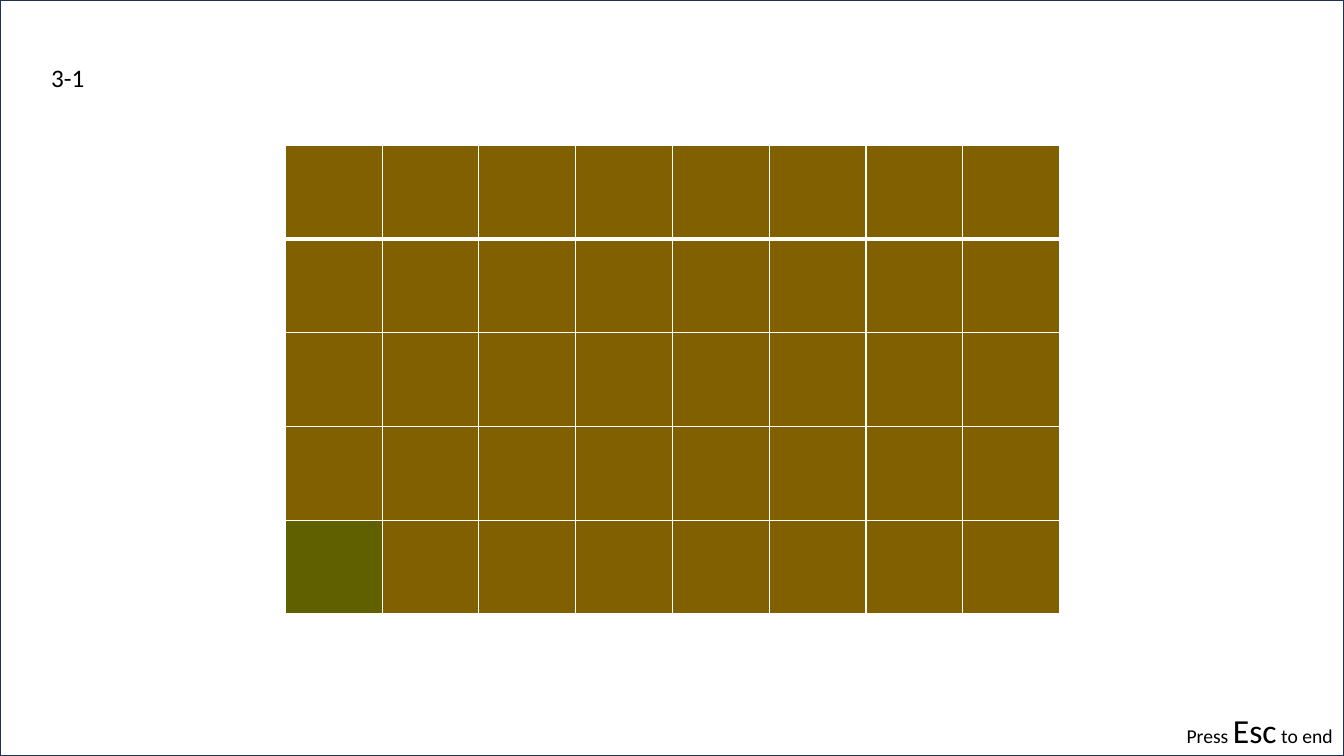
"""Build the slide with a brown memory-game board, its level label and an exit hint."""
from dataclasses import dataclass

import pptx
import pptx.dml.color
import pptx.enum.shapes
import pptx.enum.text
import pptx.oxml
import pptx.oxml.ns
import pptx.util

WIDTH, HEIGHT = 13.33, 7.5
COLS, ROWS = 8, 5
COL_WIDTH, ROW_HEIGHT = 0.96, 0.93
BOARD_LEFT, BOARD_TOP = 2.83, 1.44
BROWN, GREEN, WHITE, BLACK, NAVY = "806000", "616000", "FFFFFF", "000000", "1E3256"
MARKED_CELL = (ROWS - 1, 0)


@dataclass
class Run:
    """A piece of text in one size."""
    text: str
    size: int


@dataclass
class Label:
    """A one-line text box, placed by shares of the slide's size."""
    left: float
    top: float
    width: float
    height: float
    runs: list[Run]


LABELS = [
    Label(0.41 / WIDTH, 0.57 / HEIGHT, 0.54 / WIDTH, 0.4 / HEIGHT, [Run("3-1", 18)]),
    Label(11.67 / WIDTH, 6.99 / HEIGHT, 1.66 / WIDTH, 0.5 / HEIGHT,
          [Run("Press ", 14), Run("Esc", 24), Run(" to end", 14)]),
]


def rgb(value: str) -> pptx.dml.color.RGBColor:
    """Turn a hex string into a colour."""
    return pptx.dml.color.RGBColor.from_string(value)


def set_border(cell, side: str, points: float) -> None:
    """Add a white border on one side of a cell."""
    cell._tc.get_or_add_tcPr().append(pptx.oxml.parse_xml(
        f'<a:ln{side} {pptx.oxml.ns.nsdecls("a")} w="{pptx.util.Pt(points)}">'
        f'<a:solidFill><a:srgbClr val="{WHITE}"/></a:solidFill></a:ln{side}>'))


def add_board(slide) -> None:
    """Draw the board with a thick line under its first row."""
    inches = pptx.util.Inches
    table = slide.shapes.add_table(
        ROWS, COLS, inches(BOARD_LEFT), inches(BOARD_TOP),
        inches(COLS * COL_WIDTH), inches(ROWS * ROW_HEIGHT)).table
    for column in table.columns:
        column.width = inches(COL_WIDTH)
    for r, row in enumerate(table.rows):
        row.height = inches(ROW_HEIGHT)
        widths = {"L": 1, "R": 1, "T": 3 if r == 1 else 1, "B": 3 if r == 0 else 1}
        for c, cell in enumerate(row.cells):
            for side, points in widths.items():
                set_border(cell, side, points)
            cell.fill.solid()
            cell.fill.fore_color.rgb = rgb(GREEN if (r, c) == MARKED_CELL else BROWN)


def add_frame(slide) -> None:
    """Outline the whole slide."""
    sp = slide.shapes.add_shape(
        pptx.enum.shapes.MSO_SHAPE.RECTANGLE, 0, 0,
        pptx.util.Inches(WIDTH), pptx.util.Inches(HEIGHT))
    sp.shadow.inherit = False
    sp.fill.background()
    sp.line.color.rgb = rgb(NAVY)
    sp.line.width = pptx.util.Pt(1)


def add_label(slide, label: Label) -> None:
    """Write a label run by run."""
    inches = pptx.util.Inches
    tf = slide.shapes.add_textbox(
        inches(label.left * WIDTH), inches(label.top * HEIGHT),
        inches(label.width * WIDTH), inches(label.height * HEIGHT)).text_frame
    tf.word_wrap = False
    tf.auto_size = pptx.enum.text.MSO_AUTO_SIZE.SHAPE_TO_FIT_TEXT
    p = tf.paragraphs[0]
    for run in label.runs:
        r = p.add_run()
        r.text = run.text
        r.font.name = "Calibri"
        r.font.size = pptx.util.Pt(run.size)
        r.font.color.rgb = rgb(BLACK)


def main() -> None:
    """Build and save the presentation."""
    prs = pptx.Presentation()
    prs.slide_width = pptx.util.Inches(WIDTH)
    prs.slide_height = pptx.util.Inches(HEIGHT)
    slide = prs.slides.add_slide(prs.slide_layouts[6])
    level, exit_hint = LABELS
    add_board(slide)
    add_label(slide, level)
    add_frame(slide)
    add_label(slide, exit_hint)
    prs.save("out.pptx")


if __name__ == "__main__":
    main()
